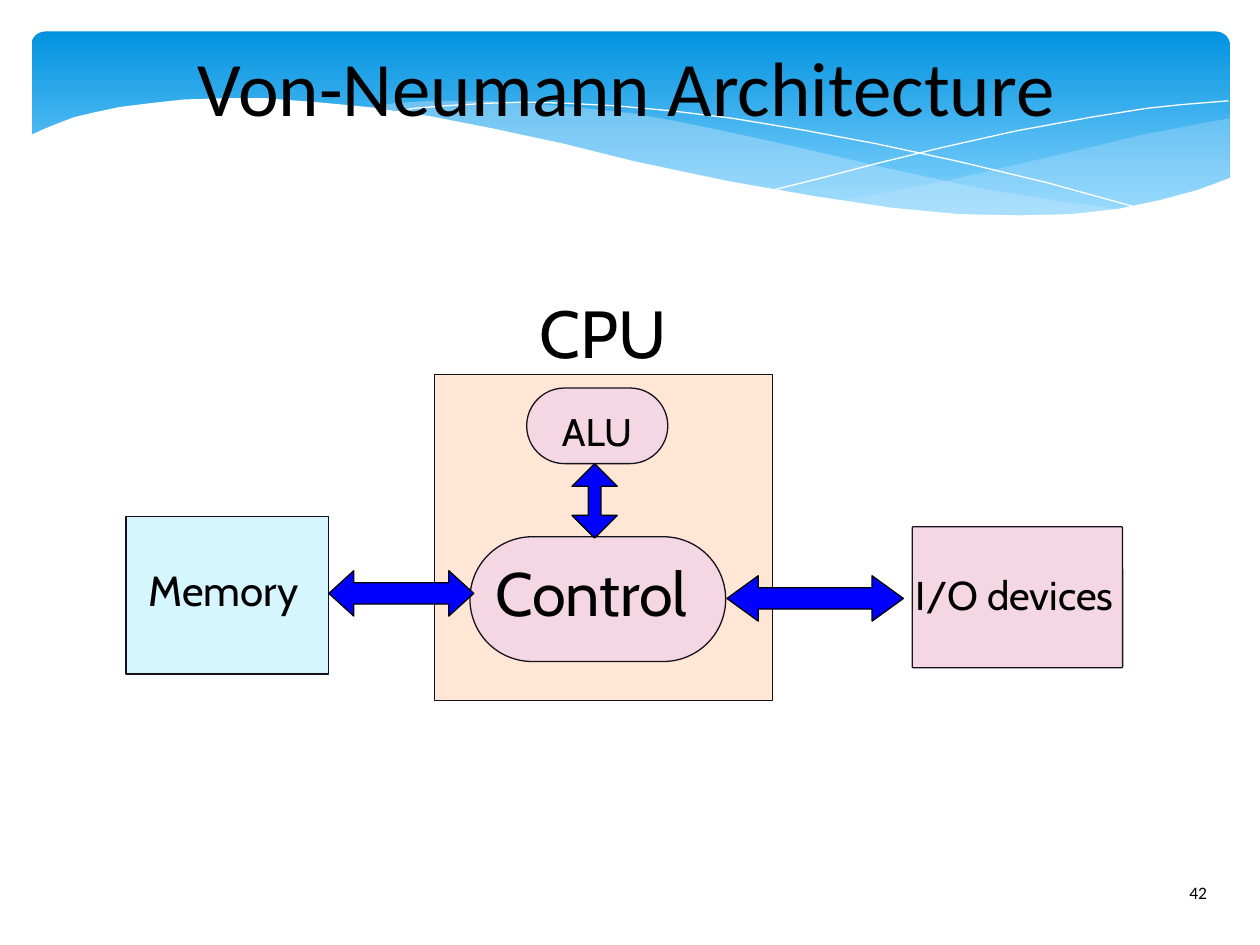
from pptx import Presentation
from pptx import util as u
from pptx.dml.color import RGBColor
from pptx.enum import shapes, text
from lxml import etree

PX = 9144  # EMU in one px; 100 px to the inch
KIND = shapes.MSO_SHAPE
OUTLINE = "15111D"
PINK = "F4D7E3"
A_NS = "http://schemas.openxmlformats.org/drawingml/2006/main"

# Banner curves, relative to the banner's top left corner
RIGHT_WAVE = [
    (952, 69), (925, 74), (883, 82), (838, 93), (782, 106), (730, 118), (683, 127),
    (638, 135), (668, 139), (709, 143), (746, 146), (780, 147), (812, 147), (840, 145),
    (866, 141), (898, 135), (926, 127), (953, 116), (953, 69)]
LEFT_WAVE = [
    (870, 142), (814, 134), (752, 124), (683, 109), (606, 91), (561, 81), (518, 72),
    (479, 65), (442, 61), (397, 57), (357, 55), (321, 55), (290, 57), (263, 61),
    (300, 65), (339, 72), (381, 81), (426, 91), (507, 110), (578, 125), (627, 133),
    (672, 140), (713, 144), (750, 147), (784, 148), (815, 147), (844, 145)]
FALLING_LINE = [
    (286, 65), (305, 61), (330, 59), (364, 57), (393, 56), (427, 57), (466, 59),
    (510, 63), (559, 69), (613, 78), (672, 89), (737, 103), (808, 120), (884, 141)]
RISING_LINE = [
    (590, 126), (630, 116), (672, 105), (725, 92), (783, 79), (843, 68), (887, 61),
    (915, 58), (952, 55)]
WHITE_EDGE = [
    (954, 116), (927, 126), (897, 134), (864, 141), (827, 145), (786, 146), (738, 145),
    (685, 140), (625, 131), (556, 119), (480, 103), (424, 89), (368, 77), (317, 67),
    (269, 60), (227, 56), (188, 53), (154, 53), (123, 54), (96, 57), (72, 60), (53, 64),
    (36, 68), (23, 73), (13, 77), (2, 82), (0, 82), (0, 199), (954, 199)]


def color(hex_code):
    return RGBColor.from_string(hex_code)


def emu(*lengths):
    return [u.Emu(length * PX) for length in lengths]


def paint(shape, fill=None, line=None, opacity=None):
    shape.shadow.inherit = False
    if fill:
        shape.fill.solid()
        shape.fill.fore_color.rgb = color(fill)
        if opacity:
            srgb = shape.fill._xPr.find(f".//{{{A_NS}}}srgbClr")
            etree.SubElement(srgb, f"{{{A_NS}}}alpha", val=str(opacity * 1000))
    else:
        shape.fill.background()
    if line:
        shape.line.color.rgb = color(line)
        shape.line.width = u.Pt(0)
    else:
        shape.line.fill.background()


def add_block(slide, kind, box, fill, line=OUTLINE, adjustments=()):
    block = slide.shapes.add_shape(kind, *emu(*box))
    for index, value in enumerate(adjustments):
        block.adjustments[index] = value
    paint(block, fill, line)
    return block


def write(frame, words, size, font):
    run = frame.paragraphs[0].add_run()
    run.text = words
    run.font.size = u.Pt(size)
    run.font.name = font
    run.font.color.rgb = color("000000")


def clear_margins(frame):
    frame.margin_left = frame.margin_top = frame.margin_right = frame.margin_bottom = 0


def add_label(slide, box, words, size):
    frame = slide.shapes.add_textbox(*emu(*box)).text_frame
    clear_margins(frame)
    frame.word_wrap = False
    frame.auto_size = text.MSO_AUTO_SIZE.SHAPE_TO_FIT_TEXT
    write(frame, words, size, "Cabin")


def draw_banner(slide, left, top):
    # Gradient panel
    panel = add_block(slide, KIND.ROUNDED_RECTANGLE, (left + 2, top, 951, 156),
                      "0293E0", None, [0.07])
    panel.fill.gradient()
    panel.fill.gradient_angle = 270
    for stop, position, shade in zip(panel.fill.gradient_stops, (0, 0.9),
                                     ("0293E0", "83D3FE")):
        stop.position = position
        stop.color.rgb = color(shade)

    # Translucent waves, thin lines and the white lower edge
    for points, fill, line, opacity in [
        (RIGHT_WAVE, "C6E7FC", None, 29),
        (LEFT_WAVE, "C6E7FC", None, 40),
        (FALLING_LINE, None, "FFFFFF", None),
        (RISING_LINE, None, "FFFFFF", None),
        (WHITE_EDGE, "FFFFFF", None, None),
    ]:
        outline = slide.shapes.build_freeform(*points[0], scale=PX)
        outline.add_line_segments(points[1:], close=fill is not None)
        paint(outline.convert_to_shape(*emu(left, top)), fill, line, opacity)


def place_title(slide, box, words):
    title = slide.shapes.title
    slide.shapes._spTree.append(title._element)  # in front of the banner
    title.left, title.top, title.width, title.height = emu(*box)
    frame = title.text_frame
    clear_margins(frame)
    frame.vertical_anchor = text.MSO_ANCHOR.MIDDLE
    frame.auto_size = text.MSO_AUTO_SIZE.NONE
    frame.paragraphs[0].alignment = text.PP_ALIGN.CENTER
    write(frame, words, 44, "Calibri")


def draw_architecture(slide, left, top):
    def at(x, y, width, height):
        return left + x, top + y, width, height

    # Units
    for kind, box, fill, adjustments in [
        (KIND.RECTANGLE, (245, 65, 268, 259), "FFE6D5", []),           # CPU
        (KIND.RECTANGLE, (0, 178, 161, 125), "D5F6FF", []),            # Memory
        (KIND.ROUNDED_RECTANGLE, (273, 194, 203, 99), PINK, [0.5]),    # Control
        (KIND.ROUNDED_RECTANGLE, (318, 76, 112, 60), PINK, [0.5]),     # ALU
        (KIND.ROUNDED_RECTANGLE, (624, 186, 167, 112), PINK, [0.01]),  # I/O devices
    ]:
        add_block(slide, kind, at(*box), fill, adjustments=adjustments)

    # Labels
    for box, words, size in [
        ((328, 0, 135, 70), "CPU", 38),
        ((293, 209, 178, 64), "Control", 35),
        ((346, 92, 73, 40), "ALU", 22),
        ((18, 216, 138, 44), "Memory", 24),
        ((627, 221, 173, 43), "I/O devices", 23),
    ]:
        add_label(slide, at(*box), words, size)

    # Data paths
    for kind, box, head in [
        (KIND.LEFT_RIGHT_ARROW, (477, 225, 140, 36), 0.69),  # Control to I/O devices
        (KIND.LEFT_RIGHT_ARROW, (161, 221, 115, 36), 0.55),  # Memory to Control
        (KIND.UP_DOWN_ARROW, (354, 136, 36, 59), 0.28),      # ALU to Control
    ]:
        add_block(slide, kind, at(*box), "0000FF", "000000", [0.47, head])


def add_page_number(slide, box, number):
    frame = slide.shapes.add_textbox(*emu(*box)).text_frame
    frame.word_wrap = True
    write(frame, number, 10, "Calibri")


def main():
    deck = Presentation()
    deck.slide_width, deck.slide_height = emu(1000, 750)
    slide = deck.slides.add_slide(deck.slide_layouts[5])
    draw_banner(slide, 23, 25)
    place_title(slide, (92, 17, 811, 102), "Von-Neumann Architecture")
    draw_architecture(slide, 100, 232)
    add_page_number(slide, (934, 695, 61, 40), "42")
    deck.save("out.pptx")


if __name__ == "__main__":
    main()
